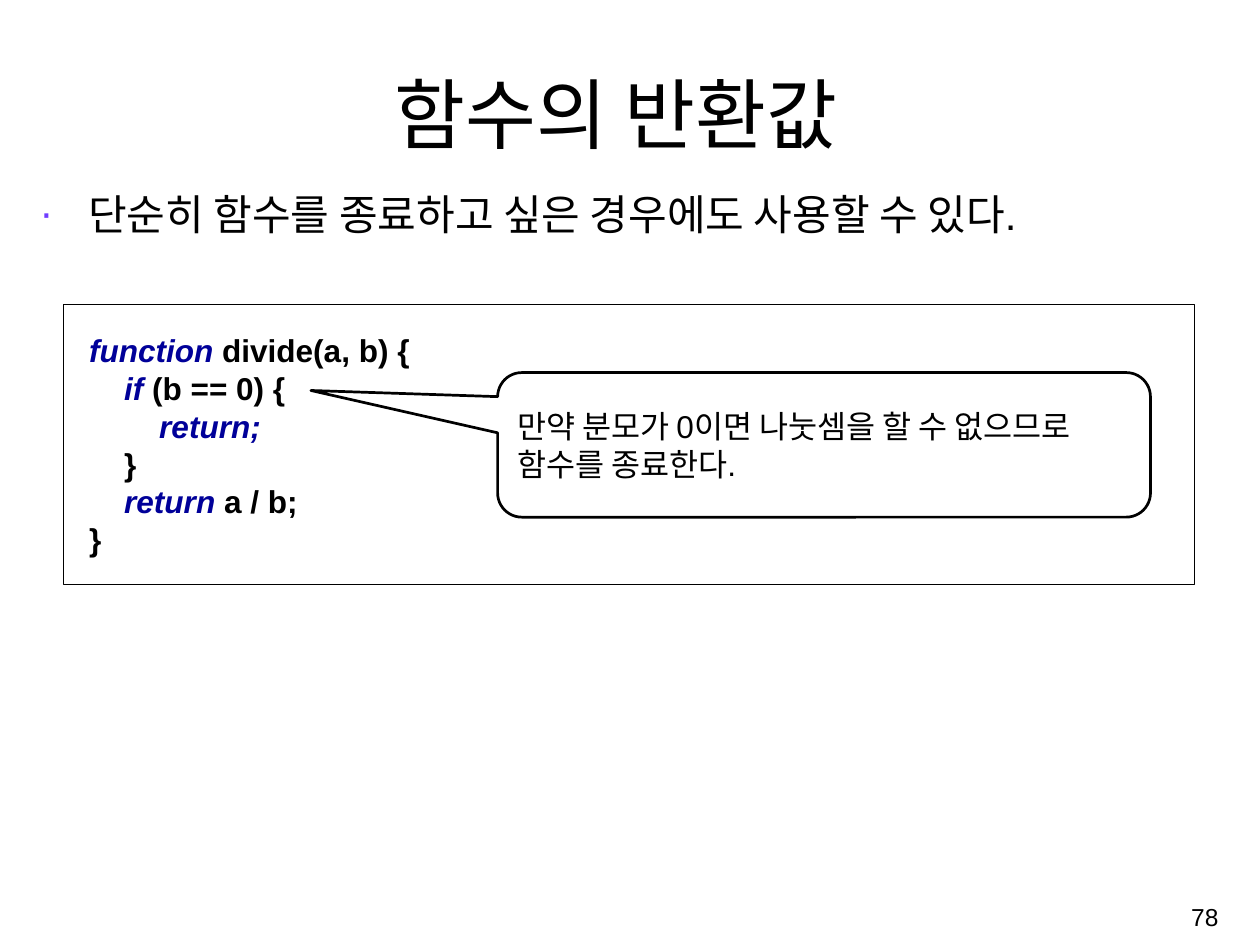
from lxml import etree
from pptx import Presentation
from pptx.dml.color import RGBColor
from pptx.enum.shapes import MSO_SHAPE
from pptx.enum.text import MSO_ANCHOR, MSO_AUTO_SIZE, PP_ALIGN
from pptx.oxml.ns import qn
from pptx.util import Pt

FONT = "Arial"
BLACK = RGBColor(0x00, 0x00, 0x00)
WHITE = RGBColor(0xFF, 0xFF, 0xFF)
KEYWORD_BLUE = RGBColor(0x00, 0x00, 0x99)
BULLET_VIOLET = RGBColor(0x70, 0x3D, 0xFF)
RECTANGLE = MSO_SHAPE.RECTANGLE
CALLOUT = MSO_SHAPE.ROUNDED_RECTANGULAR_CALLOUT
TOP, MIDDLE, BOTTOM = MSO_ANCHOR.TOP, MSO_ANCHOR.MIDDLE, MSO_ANCHOR.BOTTOM
LEFT, CENTER, RIGHT = PP_ALIGN.LEFT, PP_ALIGN.CENTER, PP_ALIGN.RIGHT
NO_AUTOFIT = MSO_AUTO_SIZE.NONE

CODE_SIZE = 23.4
CODE_SPACING = 28
CODE_MARGIN = 10
CODE_INDENT = 26
CODE_LINES = [
    (0, "function", " divide(a, b) {"),
    (1, "if", " (b == 0) {"),
    (2, "return;", ""),
    (1, "", "}"),
    (1, "return", " a / b;"),
    (0, "", "}"),
]


def add_text(paragraph, text, size=CODE_SIZE, color=BLACK, bold=False, italic=False,
             align=LEFT, spacing=None):
    """Append a formatted run to a paragraph."""
    paragraph.alignment = align
    if spacing:
        paragraph.line_spacing = Pt(spacing)
    run = paragraph.add_run()
    run.text = text
    font = run.font
    font.name, font.size = FONT, Pt(size)
    font.bold, font.italic = bold, italic
    font.color.rgb = color


def place(shape, left, top, width, height):
    """Move and size a shape, in points."""
    shape.left, shape.top = Pt(left), Pt(top)
    shape.width, shape.height = Pt(width), Pt(height)


def prepare_frame(shape, anchor, inset_x=7.2, inset_y=3.6):
    """Set wrapping, anchor and insets, and return the text frame."""
    frame = shape.text_frame
    frame.word_wrap = True
    frame.auto_size = NO_AUTOFIT
    frame.vertical_anchor = anchor
    frame.margin_left = frame.margin_right = Pt(inset_x)
    frame.margin_top = frame.margin_bottom = Pt(inset_y)
    return frame


def set_indent(paragraph, margin, first_line=0):
    """Set the left margin and first line indent of a paragraph."""
    properties = paragraph._p.get_or_add_pPr()
    properties.set("marL", str(Pt(margin)))
    properties.set("indent", str(Pt(first_line)))
    return properties


def add_bullet(paragraph, character, color, hang):
    """Give a paragraph a coloured, hanging bullet."""
    properties = set_indent(paragraph, hang, -hang)
    bullet_color = etree.SubElement(properties, qn("a:buClr"))
    etree.SubElement(bullet_color, qn("a:srgbClr"), val=str(color))
    etree.SubElement(properties, qn("a:buFont"), typeface=FONT)
    etree.SubElement(properties, qn("a:buChar"), char=character)


def add_outlined_box(slide, kind, line_width, left, top, width, height):
    """Add a white shape with a black outline."""
    box = slide.shapes.add_shape(kind, Pt(left), Pt(top), Pt(width), Pt(height))
    box.shadow.inherit = False
    box.fill.solid()
    box.fill.fore_color.rgb = WHITE
    box.line.color.rgb = BLACK
    box.line.width = Pt(line_width)
    return box


def add_code(slide):
    """Add the framed code listing with its keywords coloured."""
    listing = add_outlined_box(slide, RECTANGLE, 0.75, 46.8, 226, 840.2, 208)
    frame = prepare_frame(listing, MIDDLE, 9.4, 4.3)
    for number, (level, keyword, rest) in enumerate(CODE_LINES):
        line = frame.add_paragraph() if number else frame.paragraphs[0]
        set_indent(line, CODE_MARGIN + level * CODE_INDENT)
        if keyword:
            add_text(line, keyword, color=KEYWORD_BLUE, bold=True, italic=True,
                     spacing=CODE_SPACING)
        if rest:
            add_text(line, rest, bold=True, spacing=CODE_SPACING)


def add_callout(slide):
    """Add the speech bubble that explains the early return."""
    callout = add_outlined_box(slide, CALLOUT, 2, 369.4, 276.5, 484.6, 107.3)
    for index, value in enumerate((-0.786, -0.376, 0.167)):
        callout.adjustments[index] = value
    frame = prepare_frame(callout, MIDDLE, 9.4, 4.3)
    add_text(frame.paragraphs[0], "만약 분모가 0이면 나눗셈을 할 수 없으므로 함수를 종료한다.",
             spacing=CODE_SPACING)


def main():
    """Build the slide and save it."""
    deck = Presentation()
    deck.slide_width, deck.slide_height = Pt(935.3), Pt(701.3)
    slide = deck.slides.add_slide(deck.slide_layouts[1])

    title, body = slide.placeholders
    place(title, 75.6, 43.9, 763.9, 77.8)
    heading = prepare_frame(title, BOTTOM).paragraphs[0]
    add_text(heading, "함수의 반환값", size=57.2, align=CENTER)

    place(body, 23, 136.1, 887, 508.3)
    point = prepare_frame(body, TOP).paragraphs[0]
    add_bullet(point, "∙", BULLET_VIOLET, 35.3)
    add_text(point, "단순히 함수를 종료하고 싶은 경우에도 사용할 수 있다.", size=31.2)

    add_code(slide)
    add_callout(slide)

    page_number = slide.shapes.add_textbox(Pt(718.6), Pt(658.8), Pt(193), Pt(43.2))
    add_text(prepare_frame(page_number, MIDDLE).paragraphs[0], "78", size=18.2, align=RIGHT)
    deck.save("out.pptx")


if __name__ == "__main__":
    main()
